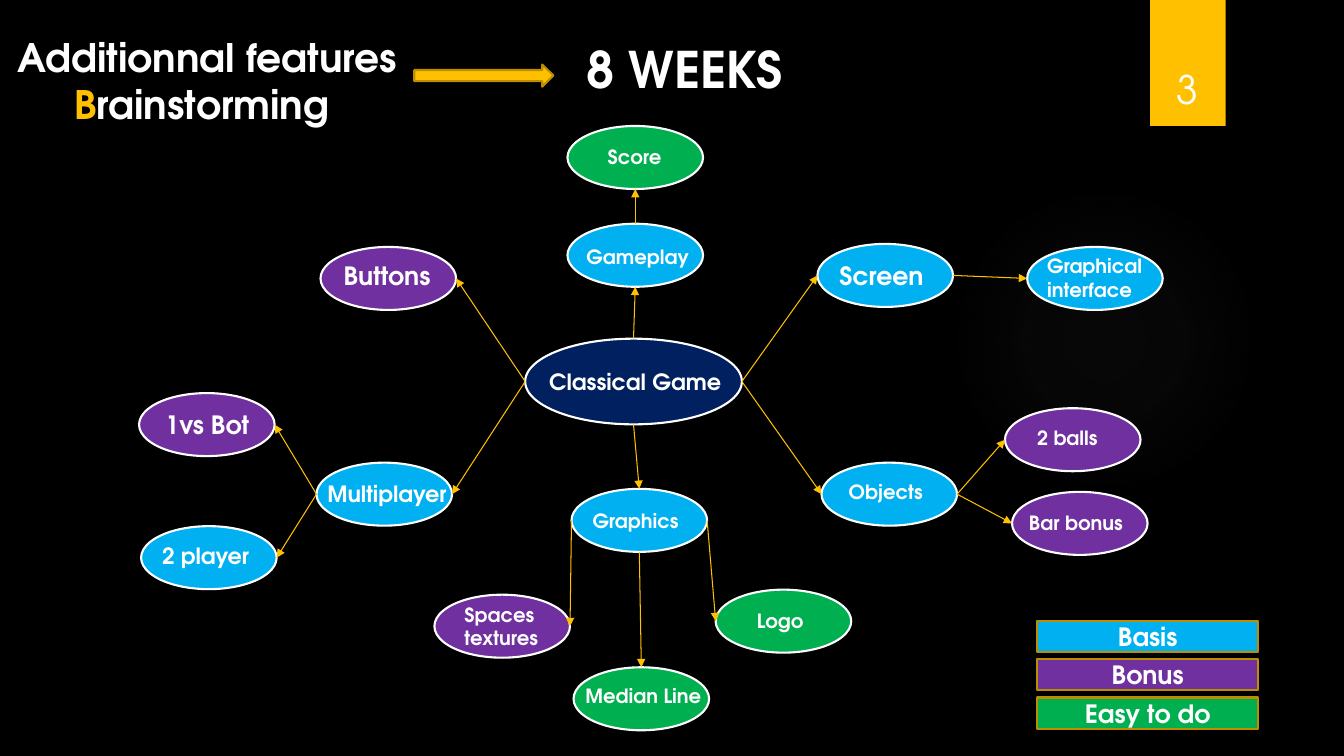
"""Build a mind map slide of extra game features with a colour legend."""
from dataclasses import dataclass

from lxml.etree import SubElement
from pptx import Presentation
from pptx.dml.color import RGBColor
from pptx.enum.shapes import MSO_CONNECTOR, MSO_SHAPE
from pptx.enum.text import MSO_ANCHOR, MSO_AUTO_SIZE, PP_ALIGN
from pptx.oxml import parse_xml
from pptx.oxml.ns import nsdecls, qn
from pptx.util import Inches, Pt

CELL = 0.1
COLUMNS, ROWS = 133.33, 75
FONT = "TeX Gyre Adventor"
COLOURS = {
    "background": "000000",
    "text": "FFFFFF",
    "accent": "FFC000",
    "accent edge": "BD8E00",
    "core": "002060",
    "basis": "00B0F0",
    "bonus": "7030A0",
    "easy": "00B050",
    "glow": "666666",
}


@dataclass(frozen=True)
class Node:
    """An ellipse at a grid position with its label box."""
    label: str
    kind: str
    column: float
    row: float
    label_column: float
    label_row: float
    label_width: float
    size: int = 14
    lines: int = 1
    width: float = 13.45
    height: float = 6.25

    def side(self, name: str) -> tuple[float, float]:
        """Return the grid point in the middle of one side."""
        across, down = {"left": (0, 0.5), "right": (1, 0.5),
                        "top": (0.5, 0), "bottom": (0.5, 1)}[name]
        return self.column + across * self.width, self.row + down * self.height


@dataclass(frozen=True)
class Link:
    """An arrow from a side of one node to a side of another."""
    start: str
    start_side: str
    end: str
    end_side: str


NODES = [
    Node("Classical Game", "core", 52.1, 33.6, 53.5, 36, 20.1, 16, 1, 21.5, 8.5),
    Node("Buttons", "bonus", 31.8, 24.5, 33.1, 25.3, 11.4, 18),
    Node("Screen", "basis", 81.1, 24.2, 82.3, 25.3, 11.4, 18),
    Node("Multiplayer", "basis", 31.4, 45.9, 31.5, 47.1, 14.5, 16),
    Node("1vs Bot", "bonus", 13.8, 39, 15.4, 40.1, 11.1, 18),
    Node("2 player", "basis", 14, 52.2, 15.1, 53.3, 11.4, 16),
    Node("Objects", "basis", 81.5, 45.9, 83.2, 47.1, 11.7),
    Node("2 balls", "bonus", 99.7, 40.5, 101.9, 41.8, 12.4),
    Node("Bar bonus", "bonus", 100.4, 48.8, 101.1, 50.2, 13.4),
    Node("Graphics", "basis", 56.7, 48.5, 57.8, 50, 12.4),
    Node("Spaces textures", "bonus", 43.1, 59, 45.1, 59.3, 12.4, lines=2),
    Node("Logo", "easy", 71, 58.5, 74.1, 59.9, 12.4),
    Node("Median Line", "easy", 56.9, 66.2, 57.1, 67.4, 13.9),
    Node("Gameplay", "basis", 56.3, 22.2, 57.2, 23.8, 12.4),
    Node("Score", "easy", 56.3, 12.5, 59.3, 13.9, 12.4),
    Node("Graphical interface", "basis", 101.9, 24.5, 102.9, 24.7, 12.4, lines=2),
]
LINKS = [
    Link("Classical Game", "left", "Buttons", "right"),
    Link("Classical Game", "right", "Screen", "left"),
    Link("Classical Game", "right", "Objects", "left"),
    Link("Classical Game", "left", "Multiplayer", "right"),
    Link("Classical Game", "top", "Gameplay", "bottom"),
    Link("Classical Game", "bottom", "Graphics", "top"),
    Link("Multiplayer", "left", "1vs Bot", "right"),
    Link("Multiplayer", "left", "2 player", "right"),
    Link("Objects", "right", "2 balls", "left"),
    Link("Objects", "right", "Bar bonus", "left"),
    Link("Graphics", "left", "Spaces textures", "right"),
    Link("Graphics", "right", "Logo", "left"),
    Link("Graphics", "bottom", "Median Line", "top"),
    Link("Gameplay", "top", "Score", "bottom"),
    Link("Screen", "right", "Graphical interface", "left"),
]
LEGEND = [("Basis", "basis"), ("Bonus", "bonus"), ("Easy to do", "easy")]


def grid(*cells: float) -> list[int]:
    """Turn grid cells into slide lengths."""
    return [Inches(cell * CELL) for cell in cells]


def colour(name: str) -> RGBColor:
    """Look up a named colour."""
    return RGBColor.from_string(COLOURS[name])


def style_span(span, size: int, bold: bool = True, name: str = "text") -> None:
    """Format one run of text."""
    span.font.name = FONT
    span.font.size = Pt(size)
    span.font.bold = bold
    span.font.color.rgb = colour(name)


def add_block(page, kind, area: tuple, fill: str, edge: str = ""):
    """Add a flat preset shape, with an outline when an edge colour is named."""
    block = page.shapes.add_shape(kind, *grid(*area))
    block.shadow.inherit = False
    block.fill.solid()
    block.fill.fore_color.rgb = colour(fill)
    if edge:
        block.line.color.rgb = colour(edge)
        block.line.width = Pt(1.5)
    else:
        block.line.fill.background()
    return block


def add_label(page, text: str, area: tuple, size: int, bold: bool = True):
    """Add a wrapped text box with one formatted paragraph."""
    box = page.shapes.add_textbox(*grid(*area))
    box.text_frame.word_wrap = True
    box.text_frame.text = text
    style_span(box.text_frame.paragraphs[0].runs[0], size, bold)
    return box


def add_glow(page) -> None:
    """Add the faint radial light on the right."""
    glow = add_block(page, MSO_SHAPE.OVAL, (94.1, 18.3, 30.8, 30.8), "glow")
    stops = "".join(
        f'<a:gs pos="{place * 1000}"><a:srgbClr val="{COLOURS["glow"]}">'
        f'<a:alpha val="{alpha * 1000}"/></a:srgbClr></a:gs>'
        for place, alpha in [(0, 7), (36, 6), (69, 0), (100, 0)])
    gradient = parse_xml(
        f'<a:gradFill {nsdecls("a")} rotWithShape="1"><a:gsLst>{stops}</a:gsLst>'
        '<a:path path="circle"><a:fillToRect l="50000" t="50000" r="50000" '
        'b="50000"/></a:path></a:gradFill>')
    properties = glow.element.spPr
    properties.replace(properties.find(qn("a:solidFill")), gradient)


def add_title(page) -> None:
    """Place the title with its highlighted initial."""
    title = page.shapes.title
    title.left, title.top, title.width, title.height = grid(0, 2.8, 41.1, 14.5)
    frame = title.text_frame
    frame.auto_size = MSO_AUTO_SIZE.NONE
    frame.vertical_anchor = MSO_ANCHOR.TOP
    para = frame.paragraphs[0]
    para.alignment = PP_ALIGN.CENTER
    for text, name in [("Additionnal features ", "text"), ("B", "accent"),
                       ("rainstorming ", "text")]:
        span = para.add_run()
        span.text = text
        style_span(span, 28, name=name)


def add_node(page, node: Node) -> None:
    """Draw a node and its label."""
    add_block(page, MSO_SHAPE.OVAL, (node.column, node.row, node.width, node.height),
              node.kind, "text")
    height = 1 + node.lines * node.size / 6
    add_label(page, node.label,
              (node.label_column, node.label_row, node.label_width, height), node.size)


def add_link(page, link: Link, nodes: dict[str, Node]) -> None:
    """Draw an arrow between two nodes."""
    start = nodes[link.start].side(link.start_side)
    end = nodes[link.end].side(link.end_side)
    arrow = page.shapes.add_connector(MSO_CONNECTOR.STRAIGHT, *grid(*start, *end))
    arrow.line.color.rgb = colour("accent")
    arrow.line.width = Pt(0.75)
    SubElement(arrow.line._get_or_add_ln(), qn("a:tailEnd"), type="triangle")
    SubElement(arrow._element.spPr, qn("a:effectLst"))


def add_legend(page) -> None:
    """Draw the stacked legend bars."""
    for index, (text, kind) in enumerate(LEGEND):
        bar = add_block(page, MSO_SHAPE.RECTANGLE,
                        (102.9, 61.6 + 3.8 * index, 21.9, 3.1), kind, "accent edge")
        bar.text_frame.text = text
        bar.text_frame.vertical_anchor = MSO_ANCHOR.MIDDLE
        para = bar.text_frame.paragraphs[0]
        para.alignment = PP_ALIGN.CENTER
        style_span(para.runs[0], 18)


def main() -> None:
    """Create and save the deck."""
    deck = Presentation()
    deck.slide_width, deck.slide_height = grid(COLUMNS, ROWS)
    page = deck.slides.add_slide(deck.slide_layouts[5])
    page.background.fill.solid()
    page.background.fill.fore_color.rgb = colour("background")
    add_glow(page)
    add_block(page, MSO_SHAPE.RECTANGLE, (114.1, 0, 7.5, 12.5), "accent")
    add_title(page)
    add_block(page, MSO_SHAPE.RIGHT_ARROW, (41.1, 6.4, 13.8, 2.2), "accent", "accent edge")
    add_label(page, "8 WEEKS", (57.2, 3.3, 29.5, 7.1), 36)
    for node in NODES:
        add_node(page, node)
    nodes = {node.label: node for node in NODES}
    for link in LINKS:
        add_link(page, link, nodes)
    add_legend(page)
    number = add_label(page, "3", (113.2, 3.2, 9.2, 8.4), 28, bold=False)
    number.text_frame.vertical_anchor = MSO_ANCHOR.BOTTOM
    number.text_frame.paragraphs[0].alignment = PP_ALIGN.CENTER
    deck.save("out.pptx")


if __name__ == "__main__":
    main()
